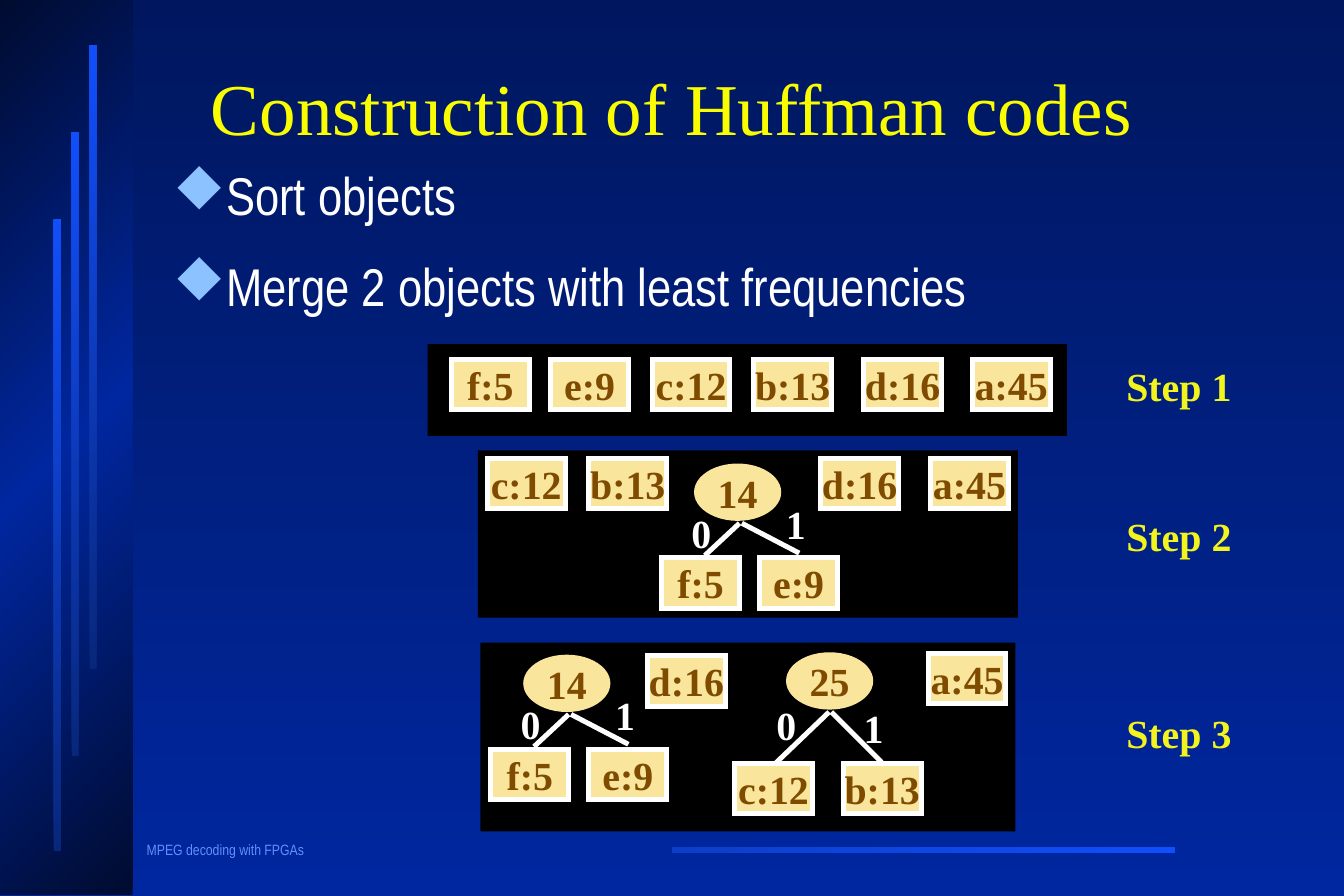
from copy import deepcopy

from lxml import etree
from pptx import Presentation
from pptx.dml.color import RGBColor
from pptx.enum.shapes import MSO_CONNECTOR, MSO_SHAPE
from pptx.enum.text import MSO_ANCHOR, PP_ALIGN
from pptx.oxml.ns import qn
from pptx.util import Inches, Pt

RECT, OVAL = MSO_SHAPE.RECTANGLE, MSO_SHAPE.OVAL
LINE = MSO_CONNECTOR.STRAIGHT
MIDDLE, TOP = MSO_ANCHOR.MIDDLE, MSO_ANCHOR.TOP
LEFT, CENTER = PP_ALIGN.LEFT, PP_ALIGN.CENTER
SERIF, NARROW = "Times New Roman", "Arial Narrow"
WHITE, CREAM, BROWN = "FFFFFF", "F9E59B", "7E4B00"

# Content
TITLE = "Construction of Huffman codes"
FOOTER = "MPEG decoding with FPGAs"
POINTS = ["Sort objects", "Merge 2 objects with least frequencies"]
BARS = [(0.45, 1.84, 5.28), (0.6, 1.11, 5.22), (0.75, 0.38, 5.22)]

# Parts of a tree, measured from the corner of its root:
# leaf places, branches (from, to), places of the digits 0 and 1
SMALL = {
    "leaves": [(-0.27, 0.79), (0.55, 0.79)],
    "lines": [((0.38, 0.5), (0.09, 0.77)), ((0.4, 0.5), (0.88, 0.75))],
    "digits": [(-0.12, 0.33), (0.67, 0.25)],
}
LARGE = {
    "leaves": [(-0.43, 0.93), (0.48, 0.93)],
    "lines": [((0.36, 0.5), (-0.1, 0.94)), ((0.38, 0.5), (0.8, 0.92))],
    "digits": [(-0.18, 0.36), (0.55, 0.38)],
}

STEPS = [
    {"name": "Step 1", "top": 2.98, "panel": (3.58, 2.88, 5.35, 0.77),
     "nodes": [("f:5", 3.78, 3.01), ("e:9", 4.61, 3.01), ("c:12", 5.46, 3.01),
               ("b:13", 6.31, 3.01), ("d:16", 7.23, 3.01), ("a:45", 8.14, 3.01)],
     "trees": []},
    {"name": "Step 2", "top": 4.23, "panel": (4, 3.77, 4.52, 1.4),
     "nodes": [("c:12", 4.08, 3.84), ("b:13", 4.93, 3.84),
               ("d:16", 6.87, 3.84), ("a:45", 7.79, 3.84)],
     "trees": [("14", 5.81, 3.88, SMALL, ("f:5", "e:9"))]},
    {"name": "Step 3", "top": 5.88, "panel": (4.02, 5.38, 4.48, 1.58),
     "nodes": [("d:16", 5.42, 5.49), ("a:45", 7.77, 5.47)],
     "trees": [("14", 4.38, 5.48, SMALL, ("f:5", "e:9")),
               ("25", 6.58, 5.46, LARGE, ("c:12", "b:13"))]},
]


def rgb(color):
    return RGBColor.from_string(color)


def shade(fill, first, last, angle):
    fill.gradient()
    fill.gradient_angle = angle
    for stop, color in zip(fill.gradient_stops, (first, last)):
        stop.color.rgb = rgb(color)


def bullet(par):
    props = par._p.get_or_add_pPr()
    props.set("marL", str(Inches(0.74)))
    props.set("indent", str(-Inches(0.38)))
    paint = etree.SubElement(props, qn("a:buClr"))
    etree.SubElement(paint, qn("a:srgbClr"), val="8CC2FF")
    # The letter u is a diamond in this symbol font
    etree.SubElement(props, qn("a:buFont"), typeface="Wingdings", charset="2")
    etree.SubElement(props, qn("a:buChar"), char="u")


def write(shape, lines, size, color, font=SERIF, bold=False, align=LEFT,
          anchor=TOP, wrap=False, space=1.0, marked=False):
    frame = shape.text_frame
    frame.text = "\n".join(lines)
    frame.word_wrap = wrap
    frame.vertical_anchor = anchor
    for par in frame.paragraphs:
        if marked:
            bullet(par)
        par.alignment = align
        par.line_spacing = space
        par.font.size = Pt(size)
        par.font.name = font
        par.font.bold = bold
        par.font.color.rgb = rgb(color)
    return frame.paragraphs


def text(shapes, box, lines, size, color, **style):
    label = shapes.add_textbox(*map(Inches, box))
    return write(label, lines, size, color, **style)


def block(shapes, kind, box, color=None):
    shape = shapes.add_shape(kind, *map(Inches, box))
    shape.shadow.inherit = False
    shape.line.fill.background()
    if color:
        shape.fill.solid()
        shape.fill.fore_color.rgb = rgb(color)
    return shape


def stroke(line):
    line.color.rgb = rgb(WHITE)
    line.width = Pt(3)


def node(shapes, kind, box, name):
    shape = block(shapes, kind, box, CREAM)
    write(shape, [name], 24, BROWN, bold=True, align=CENTER, anchor=MIDDLE)
    return shape


def leaf(shapes, name, x, y):
    shape = node(shapes, RECT, (x, y, 0.65, 0.42), name)
    stroke(shape.line)
    edge = shape.element.spPr.find(qn("a:ln"))
    etree.SubElement(edge, qn("a:miter"), lim="800000")


def branch(shapes, start, end):
    link = shapes.add_connector(LINE, *map(Inches, start + end))
    stroke(link.line)
    etree.SubElement(link.element.spPr, qn("a:effectLst"))


def tree(shapes, total, x, y, plan, names):
    def move(spot):
        return x + spot[0], y + spot[1]

    node(shapes, OVAL, (x, y, 0.73, 0.48), total)
    for name, spot in zip(names, plan["leaves"]):
        leaf(shapes, name, *move(spot))
    for start, end in plan["lines"]:
        branch(shapes, move(start), move(end))
    for digit, spot in zip("01", plan["digits"]):
        text(shapes, (*move(spot), 0.36, 0.5), [digit], 24, WHITE, bold=True)


def main():
    prs = Presentation()
    prs.slide_width, prs.slide_height = Inches(11.25), Inches(7.5)
    slide = prs.slides.add_slide(prs.slide_layouts[6])
    shapes = slide.shapes
    shade(slide.background.fill, "00175F", "00279F", 270)

    # Footer and side band
    text(shapes, (1.13, 7, 1.53, 0.23), [FOOTER], 9, "618FFD",
         font=NARROW, space=0.9)
    rule = block(shapes, RECT, (5.63, 7.09, 4.21, 0.05))
    shade(rule.fill, "114FFB", "0D3EC8", 135)
    band = block(shapes, RECT, (0, 0, 1.11, 7.49))
    shade(band.fill, "000B2F", "00279F", 135)
    stops = band.element.spPr.find(".//" + qn("a:gsLst"))
    stops.append(deepcopy(stops[0]))
    stops[1].set("pos", "50000")
    stops[2].set("pos", "100000")
    bars = shapes.add_group_shape().shapes
    for x, y, high in BARS:
        bar = block(bars, RECT, (x, y, 0.06, high))
        shade(bar.fill, "08277C", "114FFB", 135)

    # Title and points
    text(shapes, (1.16, 0.32, 8.93, 1.25), [TITLE], 44, "FAFD00",
         align=CENTER, anchor=MIDDLE, wrap=True, space=0.85)
    pars = text(shapes, (0.99, 1.37, 7.51, 1.6), POINTS, 32, WHITE,
                font=NARROW, wrap=True, space=0.9, marked=True)
    for par in pars[1:]:
        par.space_before = Pt(20)

    # Steps
    for step in STEPS:
        group = shapes.add_group_shape().shapes
        block(group, RECT, step["panel"], "000000")
        for item in step["nodes"]:
            leaf(group, *item)
        for item in step["trees"]:
            tree(group, *item)
        text(shapes, (9.33, step["top"], 1.08, 0.5), [step["name"]], 24,
             "F3F31D", bold=True)

    prs.save("out.pptx")


if __name__ == "__main__":
    main()
